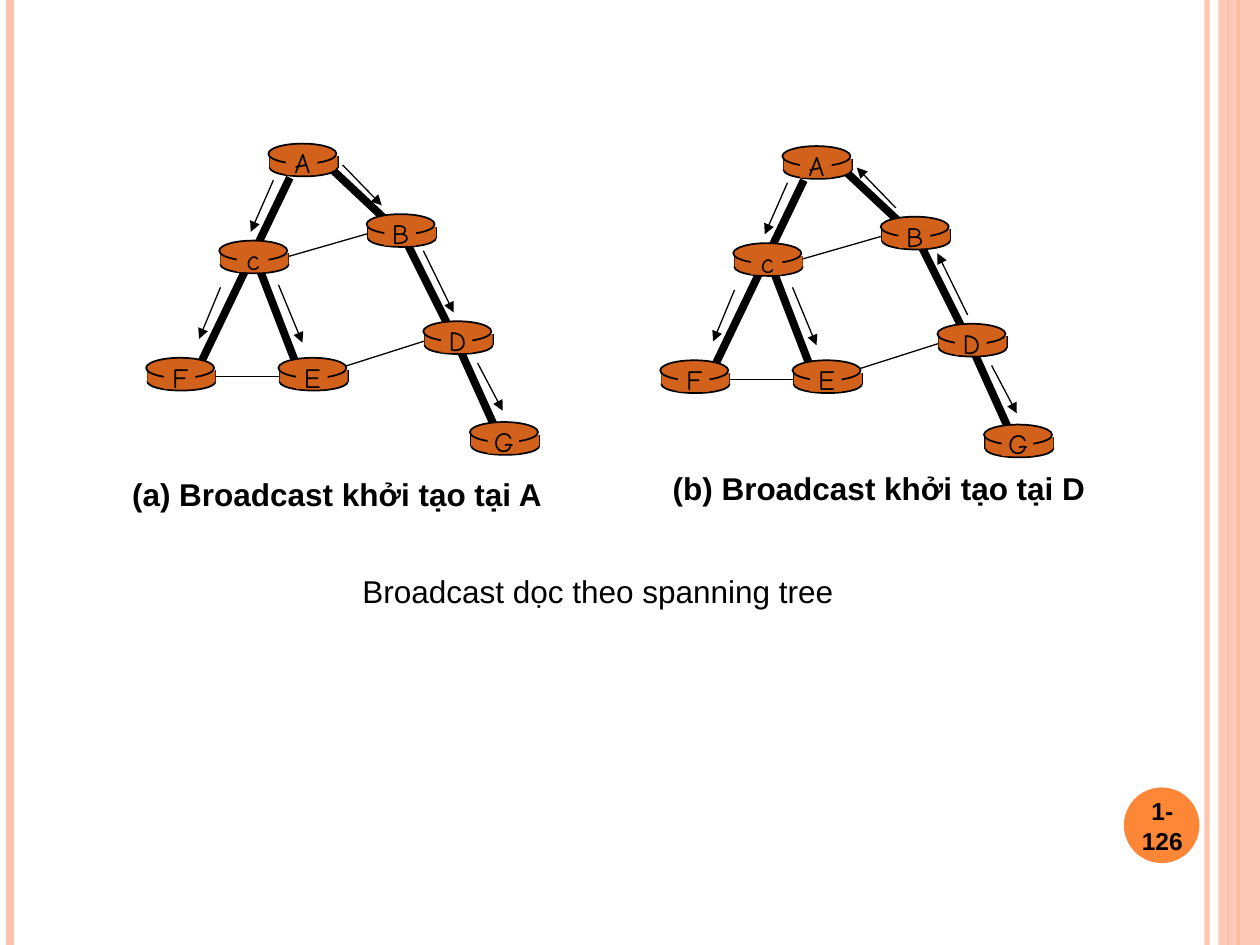
from pptx import Presentation
from pptx.dml.color import RGBColor
from pptx.enum.shapes import MSO_CONNECTOR, MSO_SHAPE
from pptx.enum.text import MSO_ANCHOR, PP_ALIGN
from pptx.oxml.ns import qn
from pptx.util import Inches, Pt
from lxml.etree import SubElement

THEME = {
    "ink": "000000", "router": "D2611C", "accent": "FE8637", "pale": "FEC2AC",
    "font": "Arial", "label_font": "Comic Neue",
    "caption_size": 18, "label_size": 16, "page_size": 14,
    "tree_width": 4.5, "link_width": 0.75, "outline_width": 1,
}

# Top left corner of each router
ROUTERS = {
    "A": (2.13, 1.14), "B": (2.91, 1.70), "G": (3.73, 3.35), "D": (3.36, 2.55),
    "E": (2.21, 2.84), "c": (1.74, 1.91), "F": (1.16, 2.84),
}
TREE_LINKS = [
    ((2.63, 1.34), (3.11, 1.79)),  # A-B
    ((3.19, 1.85), (3.56, 2.59)),  # B-D
    ((3.58, 2.62), (3.95, 3.44)),  # D-G
    ((2.30, 1.41), (1.57, 2.93)),  # A-c-F
    ((2.35, 2.89), (2.05, 2.11)),  # c-E
]
OTHER_LINKS = [
    ((3.39, 2.70), (2.73, 2.91)),  # D-E
    ((2.38, 2.99), (1.58, 2.99)),  # E-F
    ((2.24, 2.05), (2.97, 1.84)),  # c-B
]
MESSAGES = {
    "Ac": ((2.17, 1.43), (1.99, 1.84)),
    "cF": ((1.75, 2.28), (1.58, 2.69)),
    "AB": ((2.72, 1.31), (3.03, 1.63)),
    "BD": ((3.36, 1.99), (3.60, 2.48)),
    "DG": ((3.79, 2.88), (3.99, 3.26)),
    "cE": ((2.21, 2.26), (2.40, 2.72)),
}
BROADCASTS = [
    {"caption": "(a) Broadcast khởi tạo tại A", "box": (0.95, 3.72, 3.46, 0.4),
     "offset": (0, 0), "upward": ()},
    {"caption": "(b) Broadcast khởi tạo tại D", "box": (5.24, 3.67, 3.48, 0.4),
     "offset": (4.08, 0.02), "upward": ("AB", "BD")},
]
SUMMARY = ("Broadcast dọc theo spanning tree", (2.74, 4.49, 4.01, 0.4))
PAGE_NUMBER = ("1-126", (8.89, 6.27, 0.67, 0.57))

# Vertical rules at the slide edges: x, colour, width, opacity in percent
EDGE_RULES = [(9.58, "pale", 3, 93), (0.08, "pale", 4.5, 100),
              (9.83, "accent", 1.5, 100), (9.75, "accent", 0.75, 100)]
EDGE_BAND = (9.67, 0, 0.33, 7.5)
PAGE_DISC = (8.92, 6.25, 0.6, 0.6)


def color(name):
    return RGBColor.from_string(THEME[name])


def set_opacity(element, percent):
    if percent < 100:
        rgb = element.find(".//" + qn("a:srgbClr"))
        SubElement(rgb, qn("a:alpha"), val=str(percent * 1000))


def add_line(parent, start, end, width, ink="ink", opacity=100, arrow=False):
    line = parent.shapes.add_connector(
        MSO_CONNECTOR.STRAIGHT, *(Inches(v) for v in (*start, *end)))
    line.line.color.rgb = color(ink)
    line.line.width = Pt(width)
    outline = line.line._get_or_add_ln()
    set_opacity(outline, opacity)
    if arrow:
        SubElement(outline, qn("a:tailEnd"), type="triangle")
    SubElement(line._element.spPr, qn("a:effectLst"))


def add_solid(parent, kind, box, fill, outlined=False, opacity=100):
    solid = parent.shapes.add_shape(kind, *(Inches(v) for v in box))
    solid.shadow.inherit = False
    solid.fill.solid()
    solid.fill.fore_color.rgb = color(fill)
    set_opacity(solid._element.spPr, opacity)
    if outlined:
        solid.line.color.rgb = color("ink")
        solid.line.width = Pt(THEME["outline_width"])
    else:
        solid.line.fill.background()


def add_text(parent, text, box, size="caption_size", font="font", bold=False,
             align=PP_ALIGN.CENTER, anchor=MSO_ANCHOR.TOP, wrap=False):
    frame = parent.shapes.add_textbox(*(Inches(v) for v in box)).text_frame
    frame.word_wrap = wrap
    frame.vertical_anchor = anchor
    paragraph = frame.paragraphs[0]
    paragraph.alignment = align
    run = paragraph.add_run()
    run.text = text
    run.font.name = THEME[font]
    run.font.size = Pt(THEME[size])
    run.font.bold = bold
    run.font.color.rgb = color("ink")


def add_router(tree, name, left, top):
    """Draw a flat cylinder with a plain patch behind its letter."""
    side = left + 0.01
    add_solid(tree, MSO_SHAPE.OVAL, (side, top + 0.12, 0.54, 0.14), "router", True)
    for x in (side, side + 0.54):
        add_line(tree, (x, top + 0.1), (x, top + 0.19), THEME["outline_width"])
    add_solid(tree, MSO_SHAPE.RECTANGLE, (side, top + 0.1, 0.54, 0.09), "router")
    add_solid(tree, MSO_SHAPE.OVAL, (left, top, 0.54, 0.16), "router", True)
    add_solid(tree, MSO_SHAPE.RECTANGLE, (left + 0.14, top + 0.02, 0.25, 0.23), "router")
    add_text(tree, name, (left + 0.09, top - 0.03, 0.36, 0.37),
             size="label_size", font="label_font")


def add_broadcast(slide, caption, box, offset, upward):
    def place(point):
        return point[0] + offset[0], point[1] + offset[1]

    tree = slide.shapes.add_group_shape()
    for links, width in ((TREE_LINKS, "tree_width"), (OTHER_LINKS, "link_width")):
        for start, end in links:
            add_line(tree, place(start), place(end), THEME[width])
    for name, corner in ROUTERS.items():
        add_router(tree, name, *place(corner))
    for hop, (start, end) in MESSAGES.items():
        if hop in upward:
            start, end = end, start
        add_line(tree, place(start), place(end), THEME["link_width"], arrow=True)
    add_text(slide, caption, box, bold=True, align=PP_ALIGN.LEFT)


def add_edges(slide):
    for x, ink, width, opacity in EDGE_RULES:
        add_line(slide, (x, 0), (x, 7.5), width, ink, opacity)
    add_solid(slide, MSO_SHAPE.RECTANGLE, EDGE_BAND, "pale", opacity=87)
    add_solid(slide, MSO_SHAPE.OVAL, PAGE_DISC, "accent")


def main():
    deck = Presentation()
    deck.slide_width, deck.slide_height = Inches(10), Inches(7.5)
    slide = deck.slides.add_slide(deck.slide_layouts[6])
    add_edges(slide)
    add_text(slide, *PAGE_NUMBER, size="page_size", bold=True,
             anchor=MSO_ANCHOR.MIDDLE, wrap=True)
    add_text(slide, *SUMMARY)
    for broadcast in BROADCASTS:
        add_broadcast(slide, **broadcast)
    deck.save("out.pptx")


if __name__ == "__main__":
    main()
